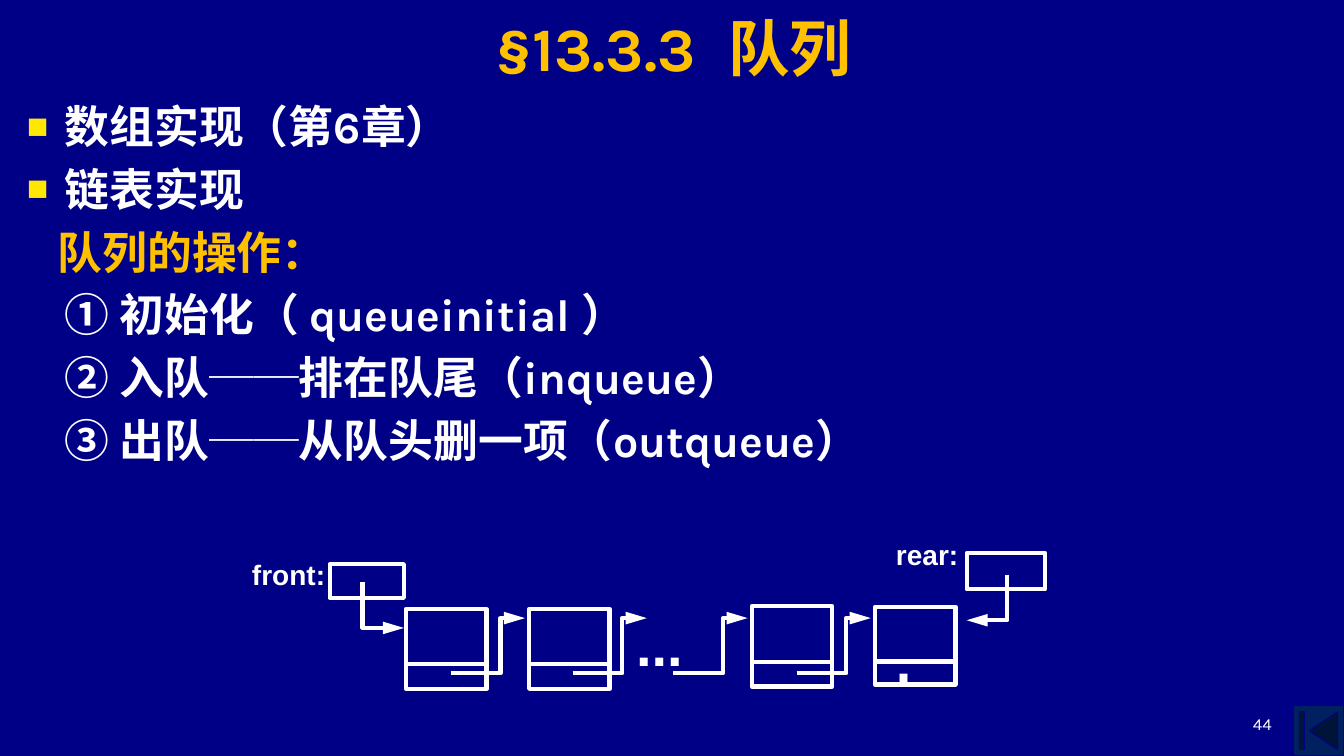
from lxml import etree
from pptx import Presentation
from pptx.dml.color import RGBColor
from pptx.enum import shapes, text
from pptx.oxml.ns import qn
from pptx.util import Pt

NAVY, WHITE, GOLD, YELLOW = "000086", "FFFFFF", "FFC000", "FFE701"
TITLE = ("§13.3.3", "队列")
# text, colour, left margin, bulleted
BODY = [
    ("数组实现（第6章）", WHITE, 27, True),
    ("链表实现", WHITE, 27, True),
    ("队列的操作：", GOLD, 22, False),
    ("① 初始化（ queueinitial ）", WHITE, 27, False),
    ("② 入队──排在队尾（inqueue）", WHITE, 27, False),
    ("③ 出队──从队头删一项（outqueue）", WHITE, 27, False),
]
# text, box, size
LABELS = [
    ("front:", (179, 397, 58, 27), 20),
    ("rear:", (639, 383, 58, 31), 20),
    ("...", (453.5, 435, 72, 45), 40),
    (".", (639, 446.5, 36, 64), 40),
]
POINTER_BOXES = [(235.5, 403, 53, 24), (690.5, 395, 56, 26)]
# left, top, height, divider height
NODES = [(290, 435, 57, 474.5), (378, 435, 57, 474.5),
         (537, 433, 57.5, 473), (625, 433.5, 55.5, 472.5)]
NODE_WIDTH = 57.5
LINK_TARGETS = [378, 465, 537, 625]
LINK_LOW, LINK_HIGH = 481, 441.5
POINTER_ARROWS = [
    [(259, 416), (259, 448.5), (288.5, 448.5)],
    [(719.5, 410.5), (719.5, 443), (690.5, 443)],
]


def rgb(value):
    return RGBColor.from_string(value)


def add_text(p, words, size=20, color=WHITE, font="Arial", bold=True):
    r = p.add_run()
    r.text = words
    f = r.font
    f.size, f.name, f.bold = Pt(size), font, bold
    f.color.rgb = rgb(color)
    return r


def place(sp, box):
    sp.left, sp.top, sp.width, sp.height = map(Pt, box)


def text_box(s, box, words, inset=1, align=None, anchor=None, **fmt):
    tf = s.shapes.add_textbox(*map(Pt, box)).text_frame
    tf.word_wrap = True
    tf.margin_left = tf.margin_right = tf.margin_top = tf.margin_bottom = Pt(inset)
    if anchor is not None:
        tf.vertical_anchor = anchor
    p = tf.paragraphs[0]
    p.alignment = align
    add_text(p, words, **fmt)


def outline(sp):
    sp.line.color.rgb = rgb(WHITE)
    sp.line.width = Pt(3)


def frame(s, box):
    sp = s.shapes.add_shape(shapes.MSO_SHAPE.RECTANGLE, *map(Pt, box))
    sp.fill.background()
    sp.shadow.inherit = False
    outline(sp)


def divider(s, x, y):
    c = s.shapes.add_connector(shapes.MSO_CONNECTOR.STRAIGHT,
                               Pt(x), Pt(y), Pt(x + NODE_WIDTH), Pt(y))
    outline(c)
    etree.SubElement(c._element.spPr, qn("a:effectLst"))


def elbow_arrow(s, points):
    start, *rest = [(Pt(x), Pt(y)) for x, y in points]
    builder = s.shapes.build_freeform(*start)
    builder.add_line_segments(rest, close=False)
    sp = builder.convert_to_shape()
    sp.fill.background()
    sp.shadow.inherit = False
    outline(sp)
    ln = sp._element.spPr.find(qn("a:ln"))
    etree.SubElement(ln, qn("a:tailEnd"), type="triangle", w="med", len="lg")


def set_bullet(p, margin, bulleted):
    pPr = p._p.get_or_add_pPr()
    pPr.set("marL", str(Pt(margin)))
    pPr.set("indent", str(Pt(-margin if bulleted else 0)))
    if not bulleted:
        etree.SubElement(pPr, qn("a:buNone"))
        return
    color = etree.SubElement(pPr, qn("a:buClr"))
    etree.SubElement(color, qn("a:srgbClr"), val=YELLOW)
    etree.SubElement(pPr, qn("a:buSzPct"), val="80000")
    etree.SubElement(pPr, qn("a:buFont"), typeface="Arial")
    etree.SubElement(pPr, qn("a:buChar"), char="■")


def add_title(s):
    title = s.shapes.title
    place(title, (157, 2, 648, 63.5))
    tf = title.text_frame
    tf.auto_size = text.MSO_AUTO_SIZE.NONE
    tf.vertical_anchor = text.MSO_ANCHOR.MIDDLE
    p = tf.paragraphs[0]
    p.alignment = text.PP_ALIGN.CENTER
    number, name = TITLE
    fmt = dict(size=44, color=GOLD, font="Karla")
    add_text(p, number, **fmt)
    gap = add_text(p, " ", **fmt)
    gap._r.get_or_add_rPr().set("spc", "1200")
    add_text(p, name, **fmt)


def add_body(s):
    body = s.placeholders[1]
    place(body, (12, 67, 698, 289.5))
    tf = body.text_frame
    tf.auto_size = text.MSO_AUTO_SIZE.NONE
    for i, (words, color, margin, bulleted) in enumerate(BODY):
        p = tf.add_paragraph() if i else tf.paragraphs[0]
        p.space_before = Pt(6.4 if i else 0)
        set_bullet(p, margin, bulleted)
        add_text(p, words, size=32, color=color, font="Karla")


def add_queue(s):
    for box in POINTER_BOXES:
        frame(s, box)
    for x, y, height, middle in NODES:
        frame(s, (x, y, NODE_WIDTH, height))
        divider(s, x, middle)
    for x in LINK_TARGETS:
        elbow_arrow(s, [(x - 56, LINK_LOW), (x - 20.5, LINK_LOW),
                        (x - 20.5, LINK_HIGH), (x - 3, LINK_HIGH)])
    for points in POINTER_ARROWS:
        elbow_arrow(s, points)
    for words, box, size in LABELS:
        text_box(s, box, words, size=size)


def main():
    prs = Presentation()
    prs.slide_width, prs.slide_height = Pt(960), Pt(540)
    s = prs.slides.add_slide(prs.slide_layouts[1])
    s.background.fill.solid()
    s.background.fill.fore_color.rgb = rgb(NAVY)

    button = s.shapes.add_shape(shapes.MSO_SHAPE.ACTION_BUTTON_BEGINNING,
                                Pt(924), Pt(504), Pt(36), Pt(36))
    button.fill.solid()
    button.fill.fore_color.rgb = rgb("002060")
    button.line.color.rgb = rgb(NAVY)
    button.line.width = Pt(0.75)
    button.shadow.inherit = False

    add_title(s)
    add_body(s)
    add_queue(s)
    text_box(s, (688, 492, 224, 36), "44", inset=7.2 / 2, size=12, font="Karla",
             bold=False, align=text.PP_ALIGN.RIGHT, anchor=text.MSO_ANCHOR.BOTTOM)
    prs.save("out.pptx")


if __name__ == "__main__":
    main()
